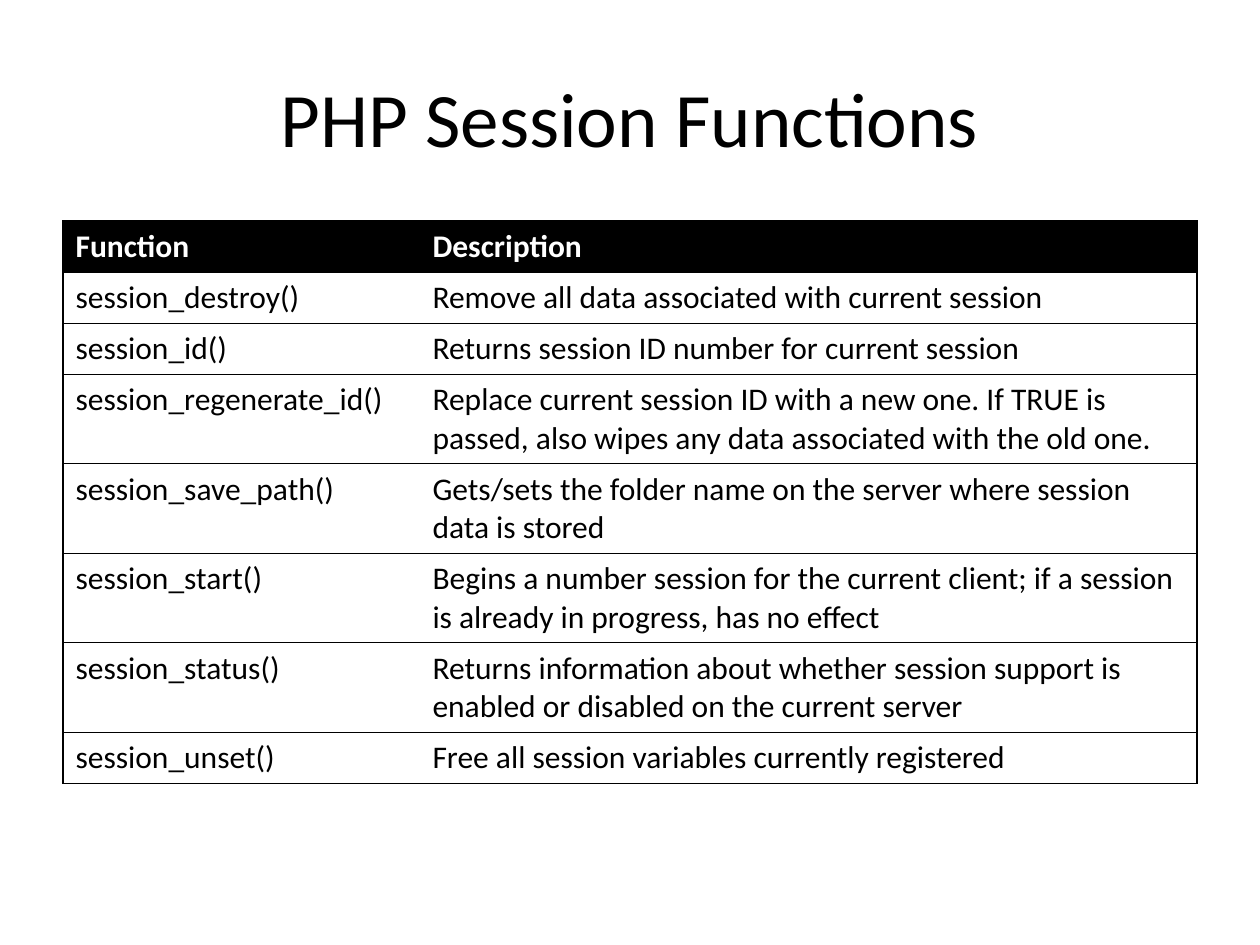
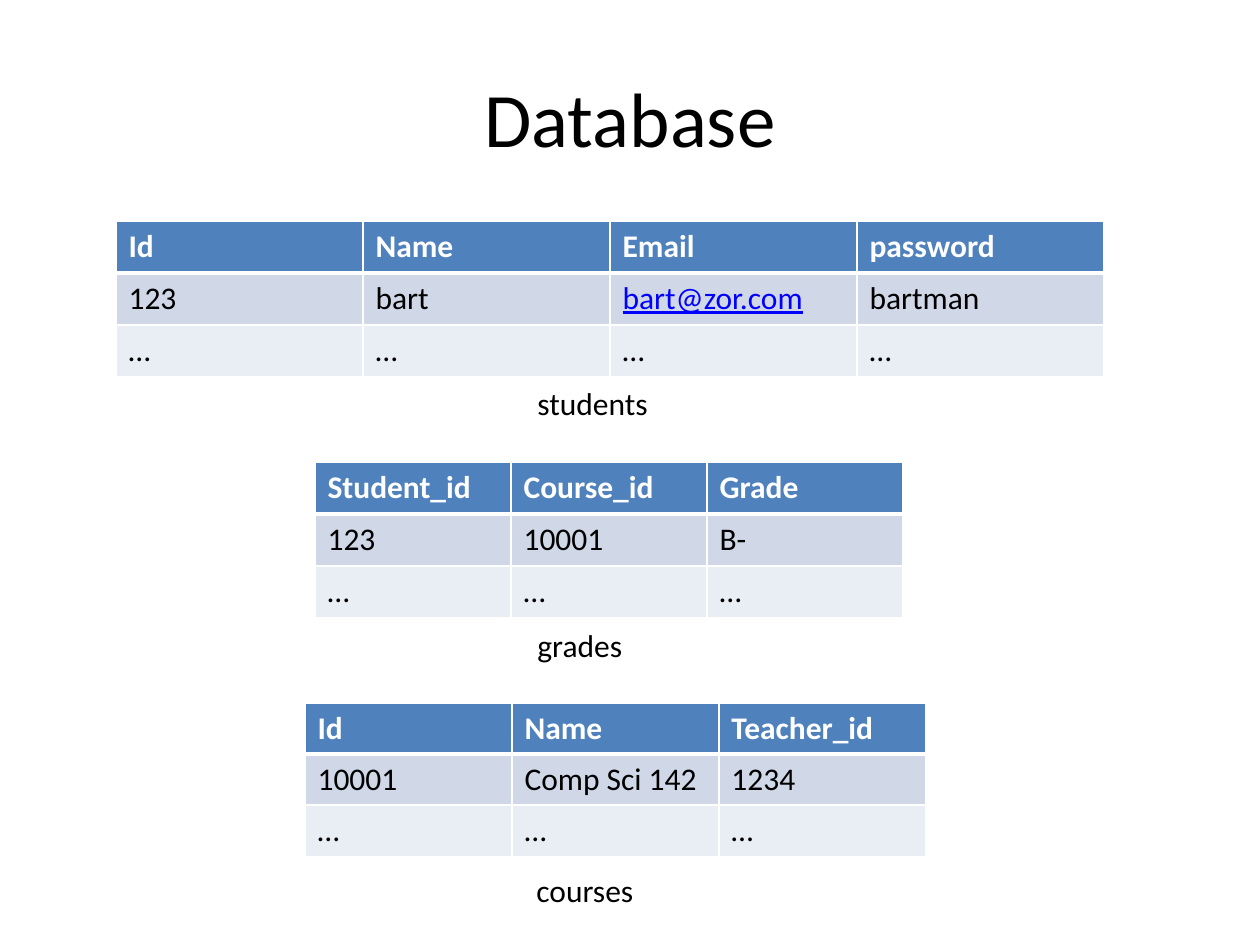
import pptx
import pptx.util
import pptx.dml.color
import pptx.enum.text
import pptx.oxml
import pptx.oxml.ns
import lxml.etree

PIXEL = 914400 / 126
FONT = "Calibri"
BLACK, WHITE = "000000", "FFFFFF"
HEADER_BLUE, BAND_DARK, BAND_LIGHT = "4F81BD", "D0D8E8", "E9EDF4"
LINK_BLUE = "0000FF"
TITLE_BOX = (63, 38, 1134, 157)

SESSION_ROWS = [
    ("Function", "Description"),
    ("session_destroy()", "Remove all data associated with current session"),
    ("session_id()", "Returns session ID number for current session"),
    ("session_regenerate_id()",
     "Replace current session ID with a new one. If TRUE is passed, "
     "also wipes any data associated with the old one. "),
    ("session_save_path()",
     "Gets/sets the folder name on the server where session data is stored"),
    ("session_start()",
     "Begins a number session for the current client; if a session "
     "is already in progress, has no effect"),
    ("session_status()",
     "Returns information about whether session support is enabled "
     "or disabled on the current server"),
    ("session_unset()", "Free all session variables currently registered"),
]

DATABASE_TABLES = [
    (116, 221, 247, 52, [("Id", "Name", "Email", "password"),
                         ("123", "bart", "bart@zor.com", "bartman")]),
    (305, 703, 207, 51, [("Id", "Name", "Teacher_id"),
                         ("10001", "Comp Sci 142", "1234")]),
    (315, 462, 196, 52, [("Student_id", "Course_id", "Grade"),
                         ("123", "10001", "B-")]),
]

CAPTIONS = [("students", 525, 378), ("grades", 525, 620), ("courses", 524, 865)]


def px(pixels):
    return pptx.util.Emu(round(pixels * PIXEL))


def rgb(value):
    return pptx.dml.color.RGBColor.from_string(value)


def apply(target, values):
    for name, value in values.items():
        setattr(target, name, value)


def write(text_frame, text, size=18, color=BLACK, **font_values):
    run = text_frame.paragraphs[0].add_run()
    run.text = text
    apply(run.font, {"name": FONT, "size": pptx.util.Pt(size), **font_values})
    run.font.color.rgb = rgb(color)


def add_titled_slide(presentation, text):
    slide = presentation.slides.add_slide(presentation.slide_layouts[5])
    title = slide.shapes.title
    apply(title, dict(zip(("left", "top", "width", "height"), map(px, TITLE_BOX))))
    title.text_frame.vertical_anchor = pptx.enum.text.MSO_ANCHOR.MIDDLE
    write(title.text_frame, text, 44)
    title.text_frame.paragraphs[0].alignment = pptx.enum.text.PP_ALIGN.CENTER
    return slide


def set_border(cell, side, color, points):
    properties = cell._tc.get_or_add_tcPr()
    line = lxml.etree.SubElement(properties, pptx.oxml.ns.qn("a:ln" + side))
    line.set("w", str(pptx.util.Pt(points)))
    if color is None:
        lxml.etree.SubElement(line, pptx.oxml.ns.qn("a:noFill"))
    else:
        fill = lxml.etree.SubElement(line, pptx.oxml.ns.qn("a:solidFill"))
        lxml.etree.SubElement(fill, pptx.oxml.ns.qn("a:srgbClr")).set("val", color)


def add_grid(slide, left, top, widths, row_height, rows, fills, border_rule):
    frame = slide.shapes.add_table(len(rows), len(widths), px(left), px(top),
                                   px(sum(widths)), px(row_height * len(rows)))
    table = frame.table
    apply(table, {"first_row": False, "horz_banding": False})
    for column, width in zip(table.columns, widths):
        column.width = px(width)
    for row_index, values in enumerate(rows):
        table.rows[row_index].height = px(row_height)
        for column_index, text in enumerate(values):
            cell = table.cell(row_index, column_index)
            for side in "LRTB":
                set_border(cell, side, *border_rule(row_index, column_index, side))
            if fills[row_index]:
                cell.fill.solid()
                cell.fill.fore_color.rgb = rgb(fills[row_index])
            else:
                cell.fill.background()
            header, link = row_index == 0, "@" in text
            color = WHITE if header else LINK_BLUE if link else BLACK
            write(cell.text_frame, text, color=color, bold=header, underline=link)


def session_border(row, column, side):
    inner = (column, side) in ((0, "R"), (1, "L"))
    return (None if inner else BLACK), 0.75


def database_border(row, column, side):
    return WHITE, 3 if (row, side) in ((0, "B"), (1, "T")) else 1


def add_caption(slide, text, left, top):
    box = slide.shapes.add_textbox(px(left), px(top), px(168), px(50))
    apply(box.text_frame, {"word_wrap": True,
                           "auto_size": pptx.enum.text.MSO_AUTO_SIZE.SHAPE_TO_FIT_TEXT})
    write(box.text_frame, text)


def main():
    presentation = pptx.Presentation()
    apply(presentation, {"slide_width": px(1260), "slide_height": px(945)})

    slide = add_titled_slide(presentation, "PHP Session Functions")
    fills = [BLACK] + [None] * (len(SESSION_ROWS) - 1)
    add_grid(slide, 63, 221, (357, 777), 51, SESSION_ROWS, fills, session_border)

    slide = add_titled_slide(presentation, "Database")
    for left, top, width, row_height, rows in DATABASE_TABLES:
        columns = len(rows[0])
        add_grid(slide, left, top, [width] * columns, row_height,
                 rows + [("…",) * columns],
                 (HEADER_BLUE, BAND_DARK, BAND_LIGHT), database_border)
    for caption in CAPTIONS:
        add_caption(slide, *caption)

    presentation.save("out.pptx")


main()
